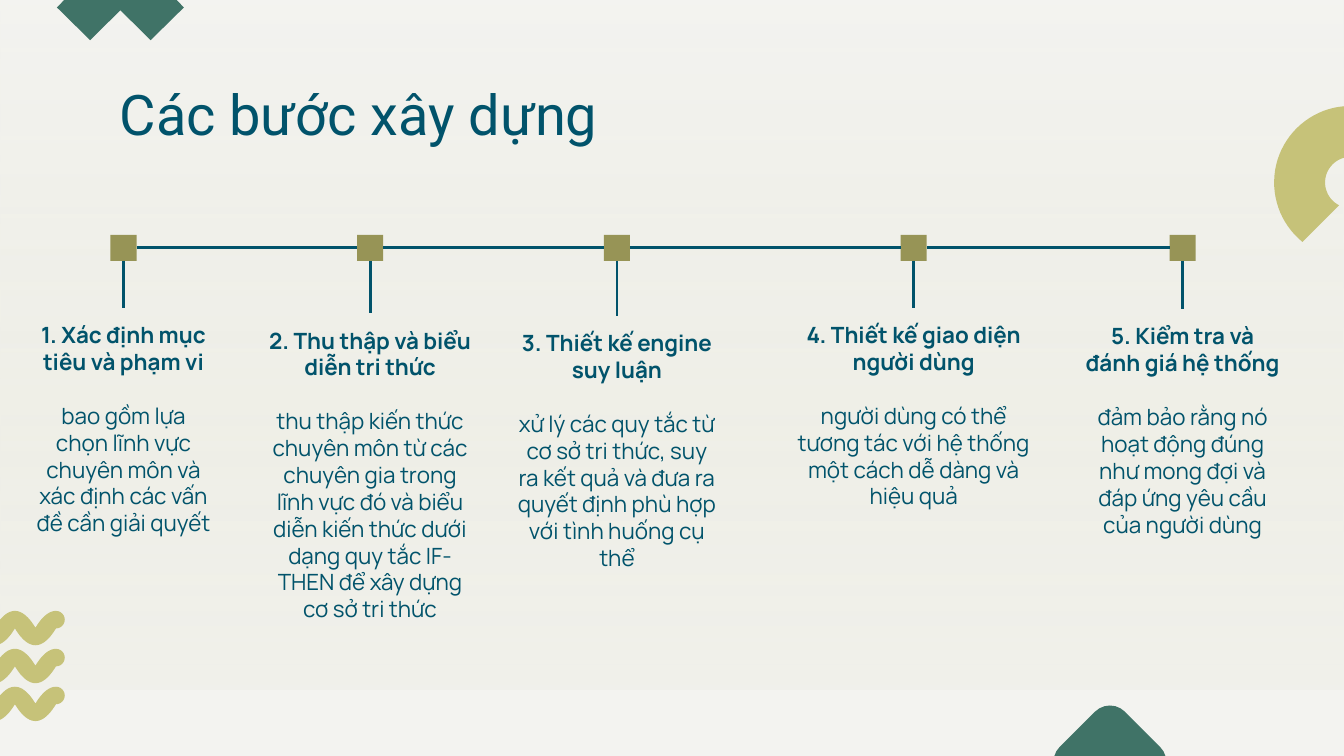
from math import cos, radians, sin

from lxml import etree
from pptx import Presentation
from pptx.dml.color import RGBColor
from pptx.enum import shapes as sh, text as tx
from pptx.oxml import ns
from pptx.util import Pt

PAPER = RGBColor(0xF3, 0xF3, 0xF0)
SAND = RGBColor(0xED, 0xED, 0xE3)
GREEN = RGBColor(0x40, 0x73, 0x67)
LIME = RGBColor(0xC6, 0xC2, 0x79)
OLIVE = RGBColor(0x97, 0x94, 0x56)
TEAL = RGBColor(0x01, 0x53, 0x6B)

NODE = 14    # side of a timeline square
AXIS = 132.8  # height of the timeline

# centre x, box top, box width, box height, heading, body
STEPS = [
    (66.2, 164.9, 109.4, 59, "1. Xác định mục tiêu và phạm vi",
     "bao gồm lựa chọn lĩnh vực chuyên môn và xác định các vấn đề cần giải quyết"),
    (198.3, 167.8, 123.1, 49.7, "2. Thu thập và biểu diễn tri thức",
     "thu thập kiến thức chuyên môn từ các chuyên gia trong lĩnh vực đó và "
     "biểu diễn kiến thức dưới dạng quy tắc IF-THEN để xây dựng cơ sở tri thức"),
    (330.5, 169.2, 123.1, 59, "3. Thiết kế engine suy luận",
     "xử lý các quy tắc từ cơ sở tri thức, suy ra kết quả và đưa ra "
     "quyết định phù hợp với tình huống cụ thể"),
    (489.5, 164.9, 142.6, 59, "4. Thiết kế giao diện người dùng",
     "người dùng có thể tương tác với hệ thống một cách dễ dàng và hiệu quả"),
    (633.6, 165.6, 119.5, 59, "5. Kiểm tra và đánh giá hệ thống",
     "đảm bảo rằng nó hoạt động đúng như mong đợi và đáp ứng yêu cầu của người dùng"),
]


def paint(shape, color):
    shape.shadow.inherit = False
    shape.fill.solid()
    shape.fill.fore_color.rgb = color
    shape.line.fill.background()


def block(slide, kind, x, y, w, h, color):
    shape = slide.shapes.add_shape(kind, Pt(x), Pt(y), Pt(w), Pt(h))
    paint(shape, color)
    return shape


def outline(slide, points, color):
    dots = [(Pt(x), Pt(y)) for x, y in points]
    pen = slide.shapes.build_freeform(*dots[0])
    pen.add_line_segments(dots[1:], close=True)
    paint(pen.convert_to_shape(), color)


def arc(x, y, r, start, end, step):
    return [(x + r * cos(radians(a)), y + r * sin(radians(a)))
            for a in range(start, end + step, step)]


def wave(slide, y):
    """Band of four parabolic humps with round ends."""
    half, thick, depth, left, right = 11, 9.4, 9, -58, 30
    top, low = [], []
    for x in range(left, right + 1):
        off = (x - left) % (2 * half)
        s = min(off, 2 * half - off) / half
        top.append((x, y + depth * s ** 2))
        low.append((x, y + thick + depth * (1 - (1 - s) ** 2)))
    r = thick / 2
    outline(slide, top + arc(right, y + r, r, -75, 75, 15) + low[::-1]
            + arc(left, y + r, r, 105, 255, 15), LIME)


def veil(slide):
    """Vertical gradient, partly see-through, behind everything."""
    shape = block(slide, sh.MSO_SHAPE.RECTANGLE, 0, -5.8, 720, 375, PAPER)
    old = shape.element.spPr.find(ns.qn("a:solidFill"))
    grad = etree.Element(ns.qn("a:gradFill"), rotWithShape="1")
    stops = etree.SubElement(grad, ns.qn("a:gsLst"))
    for pos, color, alpha in [(0, PAPER, 100), (64, SAND, 66), (100, SAND, 40)]:
        stop = etree.SubElement(stops, ns.qn("a:gs"), pos=str(pos * 1000))
        tone = etree.SubElement(stop, ns.qn("a:srgbClr"), val=str(color))
        etree.SubElement(tone, ns.qn("a:alpha"), val=str(alpha * 1000))
    etree.SubElement(grad, ns.qn("a:lin"), ang="5400000", scaled="0")
    old.getparent().replace(old, grad)


def decor(slide):
    # Green cross at the top, symmetric about its centre
    x, y = 64.5, -12.5
    quad = [(-16.2, 34), (0, 18), (16.2, 34), (34, 16.5), (18, 0), (34, -16.5)]
    outline(slide, [(x + k * a, y + k * b) for k in (1, -1) for a, b in quad], GREEN)
    # Open ring at the right
    ring = (723.6, 97.8)
    outline(slide, arc(*ring, 41, 129, 321, 4)
            + arc(*ring, 13.7, 117, 333, 4)[::-1], LIME)
    # Rounded diamond at the bottom
    gem = block(slide, sh.MSO_SHAPE.ROUNDED_RECTANGLE, 569.9, 383.5, 49.4, 49.4, GREEN)
    gem.adjustments[0] = 0.23
    gem.rotation = 45
    # Waves at the left
    for i in range(3):
        wave(slide, 327.3 + 20.3 * i)


def line(slide, x1, y1, x2, y2):
    link = slide.shapes.add_connector(
        sh.MSO_CONNECTOR.STRAIGHT, Pt(x1), Pt(y1), Pt(x2), Pt(y2))
    link.line.color.rgb = TEAL
    link.line.width = Pt(1.5)
    etree.SubElement(link.element.spPr, ns.qn("a:effectLst"))


def add_run(para, words, size, face, bold=False):
    run = para.add_run()
    run.text = words
    font = run.font
    font.size, font.name, font.bold = Pt(size), face, bold
    font.color.rgb = TEAL


def set_frame(frame):
    frame.word_wrap = True
    frame.auto_size = tx.MSO_AUTO_SIZE.NONE
    frame.vertical_anchor = tx.MSO_ANCHOR.TOP
    frame.margin_left = frame.margin_right = Pt(7.2)
    frame.margin_top = frame.margin_bottom = Pt(7.2)


def label(slide, mid, top, w, h, head, body):
    frame = slide.shapes.add_textbox(Pt(mid - w / 2), Pt(top), Pt(w), Pt(h)).text_frame
    set_frame(frame)
    first, second = frame.paragraphs[0], frame.add_paragraph()
    second.space_before = Pt(14.4)
    for para, words, bold in [(first, head, True), (second, body, False)]:
        para.alignment = tx.PP_ALIGN.CENTER
        add_run(para, words, 12, "Manrope", bold)


def title(slide, words):
    box = slide.shapes.title
    box.left, box.top, box.width, box.height = Pt(56.9), Pt(35.3), Pt(607), Pt(45.4)
    set_frame(box.text_frame)
    para = box.text_frame.paragraphs[0]
    para.alignment = tx.PP_ALIGN.LEFT
    add_run(para, words, 30, "Roboto")
    box.element.getparent().append(box.element)  # bring to front


def main():
    deck = Presentation()
    deck.slide_width, deck.slide_height = Pt(720), Pt(405)
    slide = deck.slides.add_slide(deck.slide_layouts[5])
    slide.background.fill.solid()
    slide.background.fill.fore_color.rgb = PAPER
    veil(slide)
    decor(slide)

    # Timeline: square, stem and text for each step
    half = NODE / 2
    for mid, top, *rest in STEPS:
        block(slide, sh.MSO_SHAPE.RECTANGLE, mid - half, AXIS - half, NODE, NODE, OLIVE)
        line(slide, mid, AXIS + half, mid, top)
        label(slide, mid, top, *rest)
    # Links between neighbouring squares
    for one, two in zip(STEPS, STEPS[1:]):
        line(slide, one[0] + half, AXIS, two[0] - half, AXIS)

    title(slide, "Các bước xây dựng")
    deck.save("out.pptx")


if __name__ == "__main__":
    main()
